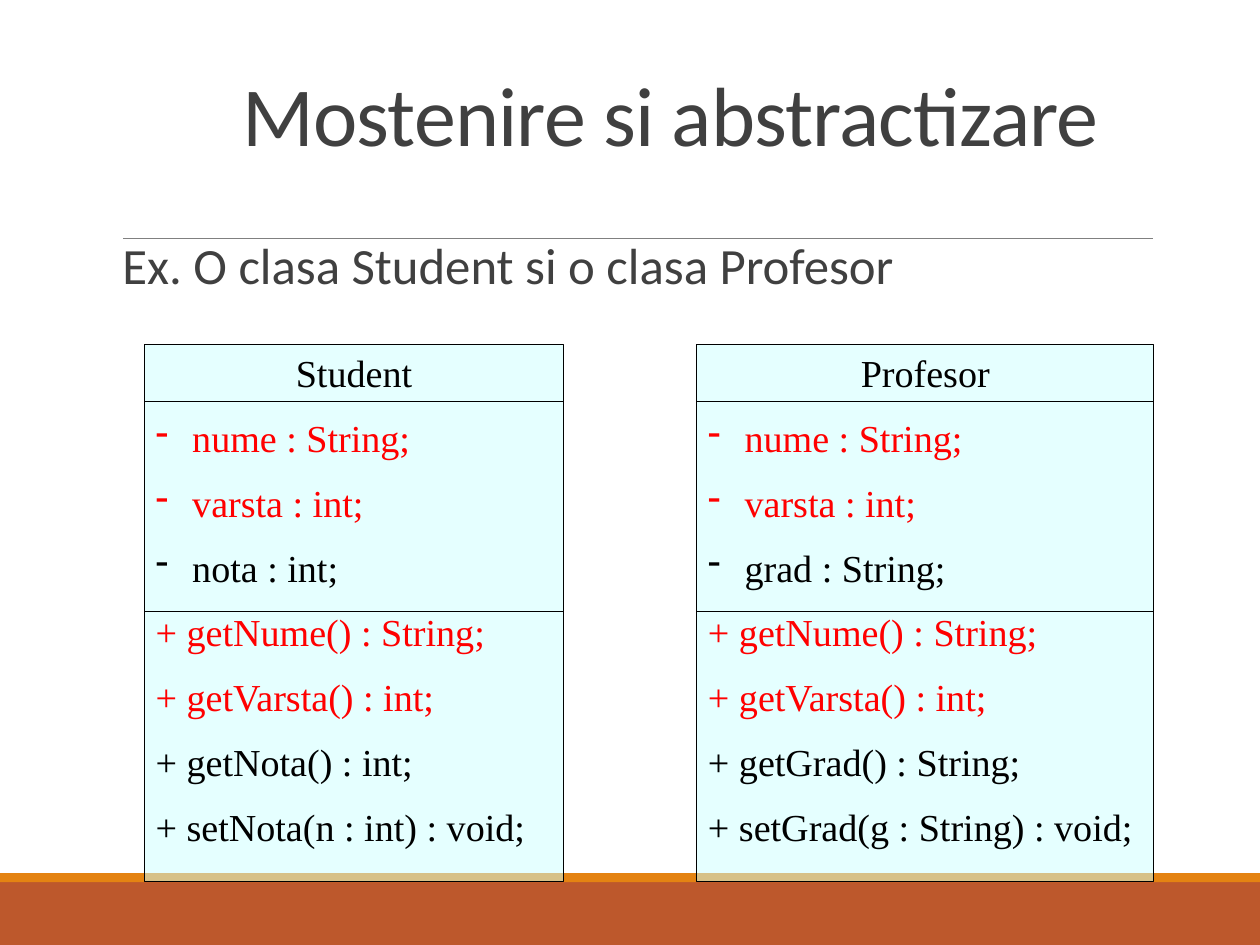
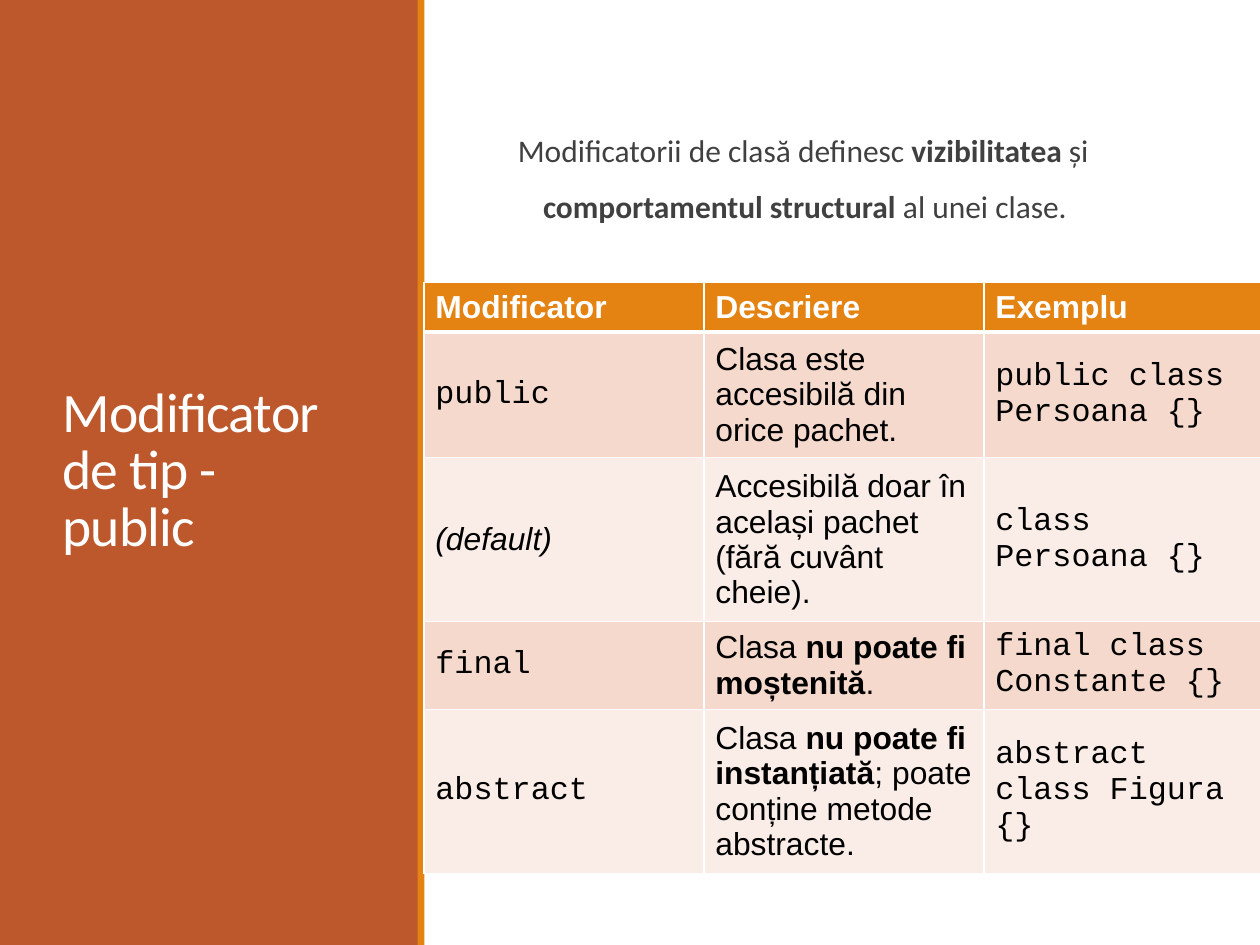
from dataclasses import dataclass, replace
from lxml.etree import SubElement
from pptx import Presentation
from pptx.dml.color import RGBColor as RGB
from pptx.enum.shapes import MSO_CONNECTOR as CONN, MSO_SHAPE as SHAPE
from pptx.enum.text import MSO_ANCHOR as ANCHOR, PP_ALIGN as ALIGN
from pptx.oxml.ns import qn
from pptx.util import Cm, Inches, Pt


@dataclass(frozen=True)
class Style:
    """Look of a text run."""
    font: str
    size: float
    color: str
    bold: bool = False
    italic: bool = False
    spacing: float = 0


class Theme:
    """Colours and type styles shared by the slides."""
    RUST, ORANGE, WHITE, BLACK = "BD582C", "E48312", "FFFFFF", "000000"
    RULE, UML_FILL = "808080", "CCFFFF"
    ROWS = ("F5D9CC", "FAEDE7")
    TITLE = Style("Calibri", 52.9, "404040", spacing=-0.5)
    SIDE_TITLE = replace(TITLE, size=35, color=WHITE)
    BODY = Style("Calibri", 32, "404040")
    NOTE = replace(BODY, size=19.8)
    NOTE_BOLD = replace(NOTE, bold=True)
    UML = Style("Times New Roman", 24, BLACK)
    COMMON = replace(UML, color="FF0000")
    CELL = Style("Arial", 20, BLACK)
    CELL_BOLD = replace(CELL, bold=True)
    CELL_ITALIC = replace(CELL, italic=True)
    HEAD = replace(CELL_BOLD, color=WHITE)
    CODE = replace(CELL, font="Courier New")


W, H = Cm(28), Cm(21)
INSET = (0.1, 0.05, 0.1, 0.05)
BODY_INSET = (0, 0.05, 0, 0.05)


def px(share):
    """Turn a percentage of the slide width into a length."""
    return round(W * share / 100)


def py(share):
    """Turn a percentage of the slide height into a length."""
    return round(H * share / 100)


def box(x, y, w, h):
    """Turn a box in percentages into lengths."""
    return px(x), py(y), px(w), py(h)


def add_runs(p, runs):
    """Add (text, style) runs to a paragraph."""
    for text, st in runs:
        r = p.add_run()
        r.text = text
        f = r.font
        f.name, f.size, f.bold, f.italic = st.font, Pt(st.size), st.bold, st.italic
        f.color.rgb = RGB.from_string(st.color)
        if st.spacing:
            r._r.get_or_add_rPr().set("spc", str(round(st.spacing * 100)))


def indent(p, left, first=0, bullet=None):
    """Set the margin, first-line indent and bullet of a paragraph."""
    pPr = p._p.get_or_add_pPr()
    pPr.set("marL", str(Inches(left)))
    pPr.set("indent", str(Inches(first)))
    if bullet:
        SubElement(pPr, qn("a:buChar")).set("char", bullet)


def frame(sp, anchor, inset=INSET):
    """Prepare the text frame of a shape."""
    tf = sp.text_frame
    tf.word_wrap, tf.vertical_anchor = True, anchor
    (tf.margin_left, tf.margin_top,
     tf.margin_right, tf.margin_bottom) = map(Inches, inset)
    return tf


def text(s, place, runs, anchor, spacing, inset=INSET, margins=(0, 0)):
    """Add a text box with one paragraph."""
    tf = frame(s.shapes.add_textbox(*box(*place)), anchor, inset)
    p = tf.paragraphs[0]
    p.line_spacing = spacing
    indent(p, *margins)
    add_runs(p, runs)


def rect(s, place, color, line=None, alpha=None):
    """Add a plain rectangle."""
    sp = s.shapes.add_shape(SHAPE.RECTANGLE, *box(*place))
    sp.shadow.inherit = False
    sp.fill.solid()
    sp.fill.fore_color.rgb = RGB.from_string(color)
    if alpha:
        clr = sp.element.spPr.find(".//" + qn("a:srgbClr"))
        SubElement(clr, qn("a:alpha")).set("val", str(alpha * 1000))
    if line:
        sp.line.color.rgb, sp.line.width = RGB.from_string(line), Pt(0.75)
    else:
        sp.line.fill.background()
    return sp


def rule(s, x, y, w, color, weight):
    """Add a horizontal line."""
    ln = s.shapes.add_connector(CONN.STRAIGHT, px(x), py(y), px(x + w), py(y))
    ln.line.color.rgb, ln.line.width = RGB.from_string(color), Pt(weight)
    SubElement(ln.element.spPr, qn("a:effectLst"))


def uml_class(s, x, w, name, fields, methods):
    """Add a class box whose members are (text, style) pairs."""
    y, h = 36.42, 56.85
    sp = rect(s, (x, y, w, h), Theme.UML_FILL, Theme.BLACK, 50)
    tf = frame(sp, ANCHOR.TOP)
    p = tf.paragraphs[0]
    p.alignment = ALIGN.CENTER
    add_runs(p, [(name, Theme.UML)])
    for i, member in enumerate(fields + methods):
        p = tf.add_paragraph()
        p.alignment, p.space_before = ALIGN.LEFT, Pt(12)
        if i < len(fields):
            indent(p, 0.32, -0.32, "-")
        add_runs(p, [member])
    for drop in (6.04, 28.28):
        rule(s, x, y + drop, w, Theme.BLACK, 0.75)


def style_cell(cell, runs, fill, bottom):
    """Fill one table cell and give it white borders."""
    cell.vertical_anchor = ANCHOR.MIDDLE
    tcPr = cell._tc.get_or_add_tcPr()
    for side, weight in (("L", 1), ("R", 1), ("T", 1), ("B", bottom)):
        ln = SubElement(tcPr, qn(f"a:ln{side}"))
        ln.set("w", str(Pt(weight)))
        SubElement(SubElement(ln, qn("a:solidFill")),
                   qn("a:srgbClr")).set("val", Theme.WHITE)
    cell.fill.solid()
    cell.fill.fore_color.rgb = RGB.from_string(fill)
    add_runs(cell.text_frame.paragraphs[0], runs)


def table(s, x, y, col, height, row_min, rows):
    """Add a table whose rows grow with their text."""
    n = len(rows[0])
    gf = s.shapes.add_table(len(rows), n, *box(x, y, col * n, height))
    tb = gf.table
    tb.horz_banding = False
    for c in tb.columns:
        c.width = px(col)
    for i, row in enumerate(rows):
        tb.rows[i].height = py(row_min) if i else 0
        fill = Theme.ROWS[(i - 1) % 2] if i else Theme.ORANGE
        for j, runs in enumerate(row):
            style_cell(tb.cell(i, j), runs, fill, 1 if i else 3)
    gf.height = py(height)


def inheritance_slide(s):
    """Build the slide with the two class boxes."""
    t = Theme
    rect(s, (0, 93.35, 100, 6.65), t.RUST)
    rect(s, (0, 92.4, 100, 0.95), t.ORANGE)
    rule(s, 9.8, 25.27, 81.74, t.RULE, 0.5)
    text(s, (4.08, 4.23, 87.48, 13.66), [("Mostenire si abstractizare", t.TITLE)],
         ANCHOR.BOTTOM, 0.85, margins=(1.57, 0))
    text(s, (8.62, 24.88, 85.03, 7.5),
         [("Ex. O clasa Student si o clasa Profesor", t.BODY)],
         ANCHOR.TOP, 0.9, BODY_INSET, (0.12, 0))
    fields = [("nume : String;", t.COMMON), ("varsta : int;", t.COMMON)]
    methods = [("+ getNume() : String;", t.COMMON),
               ("+ getVarsta() : int;", t.COMMON)]
    for x, w, name, field, getter, setter in (
            (11.46, 33.27, "Student", "nota : int;",
             "+ getNota() : int;", "+ setNota(n : int) : void;"),
            (55.3, 36.28, "Profesor", "grad : String;",
             "+ getGrad() : String;", "+ setGrad(g : String) : void;")):
        uml_class(s, x, w, name, fields + [(field, t.UML)],
                  methods + [(getter, t.UML), (setter, t.UML)])


def modifier_slide(s):
    """Build the slide with the table of class modifiers."""
    t = Theme
    rect(s, (0, 0, 33.2, 100), t.RUST)
    text(s, (4.08, 8.83, 24.8, 82.35),
         [("Modificator de tip - public", t.SIDE_TITLE)], ANCHOR.MIDDLE, 0.85)
    rect(s, (33.15, 0, 0.54, 100), t.ORANGE)
    text(s, (38.93, 8.83, 59.35, 18.02),
         [("Modificatorii de clasă definesc ", t.NOTE),
          ("vizibilitatea", t.NOTE_BOLD), (" și ", t.NOTE),
          ("comportamentul structural", t.NOTE_BOLD),
          (" al unei clase.", t.NOTE)],
         ANCHOR.MIDDLE, 1.5, BODY_INSET, (0.46, -0.22))
    rows = [
        [[(head, t.HEAD)] for head in ("Modificator", "Descriere", "Exemplu")],
        [[("public", t.CODE)],
         [("Clasa este accesibilă din orice pachet.", t.CELL)],
         [("public class Persoana {}", t.CODE)]],
        [[("(default)", t.CELL_ITALIC)],
         [("Accesibilă doar în același pachet (fără cuvânt cheie).", t.CELL)],
         [("class Persoana {}", t.CODE)]],
        [[("final", t.CODE)],
         [("Clasa ", t.CELL), ("nu poate fi moștenită", t.CELL_BOLD),
          (".", t.CELL)],
         [("final class Constante {}", t.CODE)]],
        [[("abstract", t.CODE)],
         [("Clasa ", t.CELL), ("nu poate fi instanțiată", t.CELL_BOLD),
          ("; poate conține metode abstracte.", t.CELL)],
         [("abstract class Figura {}", t.CODE)]],
    ]
    table(s, 33.65, 29.87, 22.22, 54.05, 4.96, rows)


def main():
    """Build and save the presentation."""
    prs = Presentation()
    prs.slide_width, prs.slide_height = W, H
    for build in (inheritance_slide, modifier_slide):
        build(prs.slides.add_slide(prs.slide_layouts[6]))
    prs.save("out.pptx")


if __name__ == "__main__":
    main()
